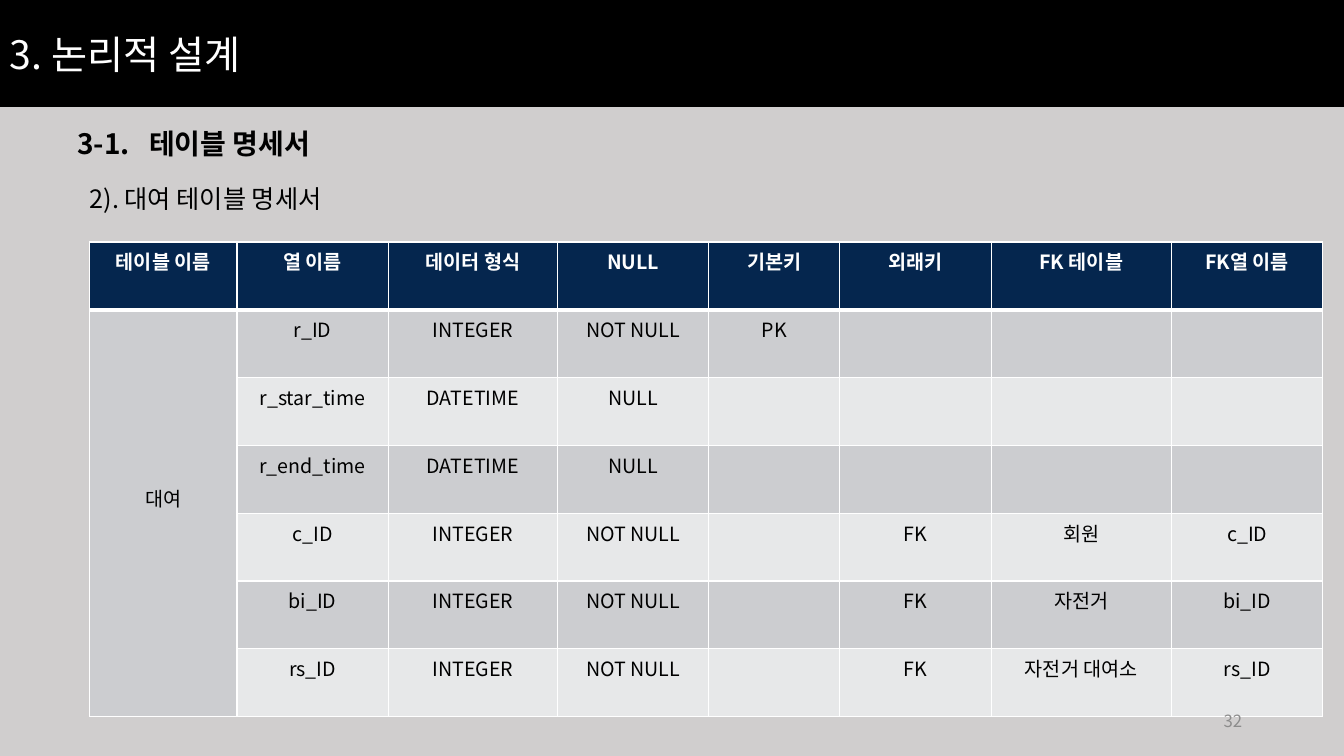
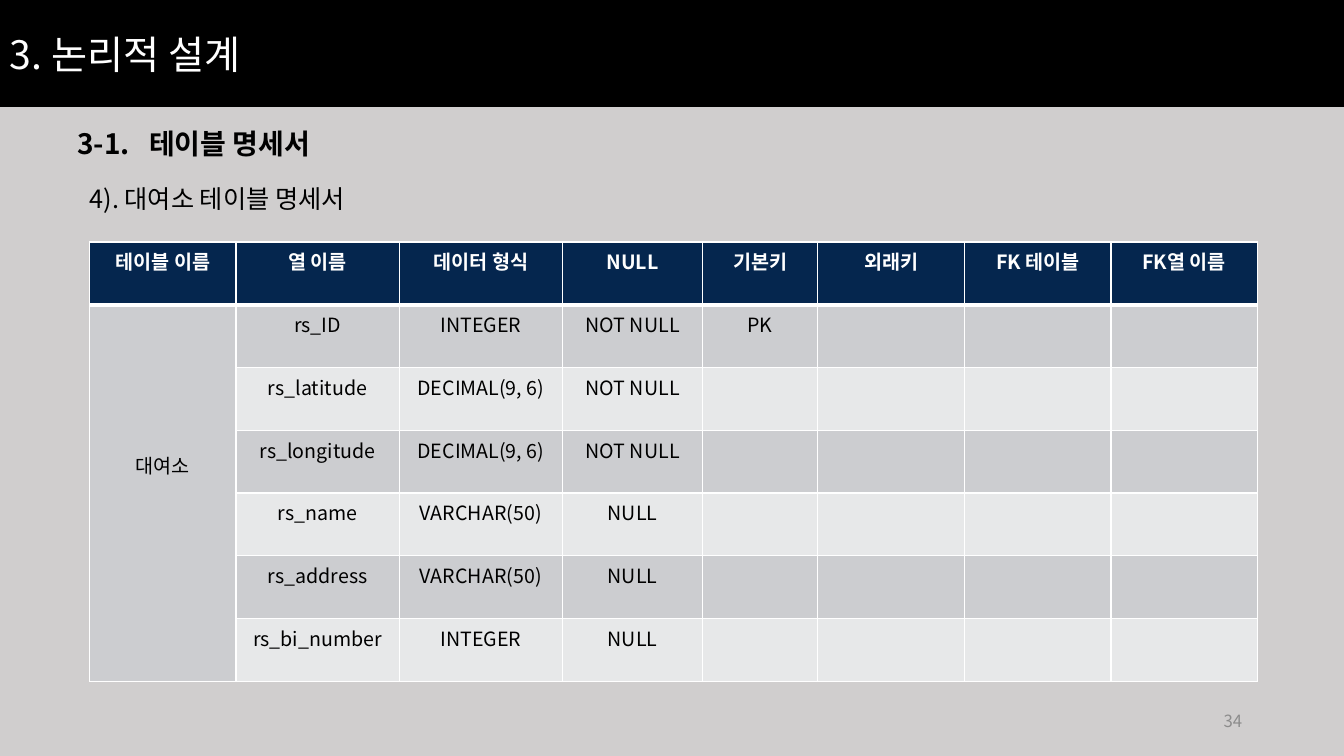
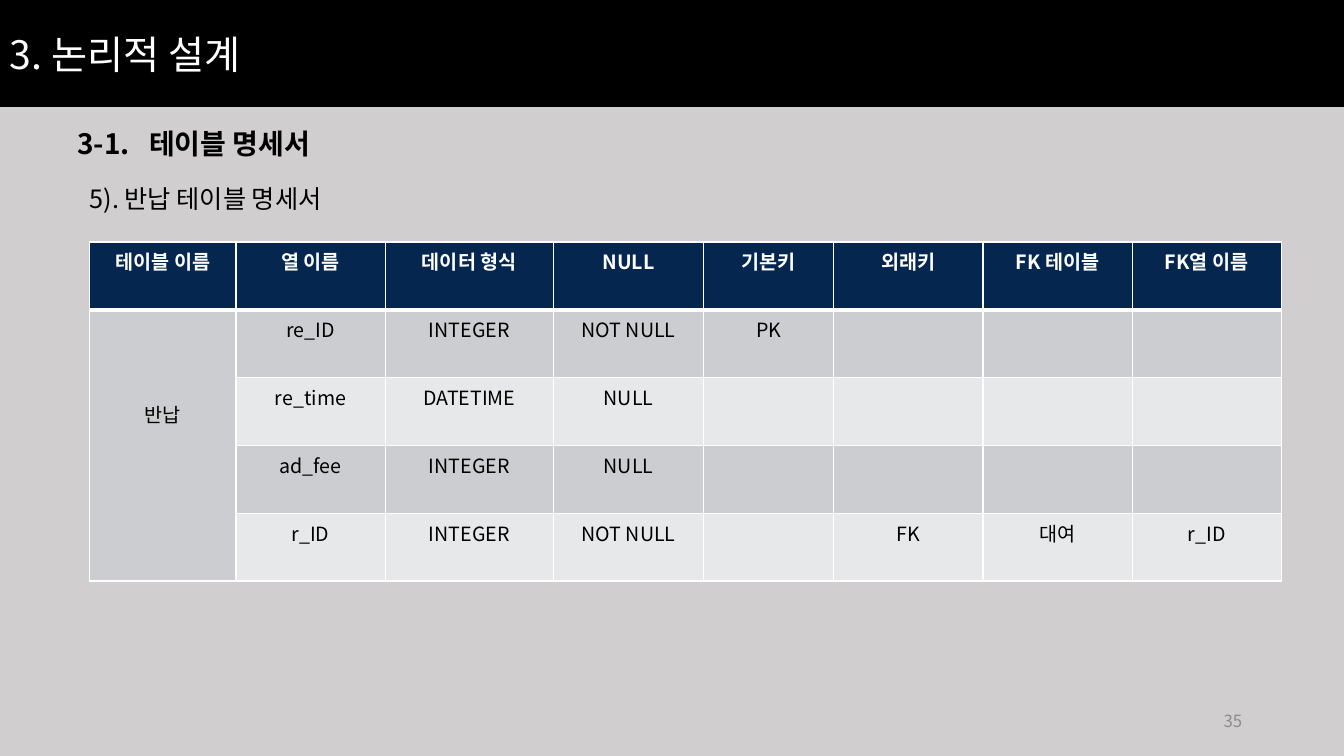
from dataclasses import dataclass

from pptx import Presentation
from pptx.dml.color import RGBColor
from pptx.enum.shapes import MSO_SHAPE
from pptx.enum.text import MSO_ANCHOR, PP_ALIGN
from pptx.oxml.ns import qn
from pptx.util import Inches, Pt
from lxml.etree import SubElement

WIDTH, HEIGHT = 13.33, 7.5
FONT = "Noto Sans CJK KR"
BLACK, WHITE, GREY = "000000", "FFFFFF", "8C8C8C"
BACKGROUND, NAVY = "D0CECE", "05264E"
BANDS = ("CCCDD0", "E7E8E9")
TABLE_LEFT, TABLE_TOP = 0.89, 2.4
CELL_SIZE = 14
CELL_MARGIN = 0.05
LINE_HEIGHT = 0.28
HEADERS = ("테이블 이름", "열 이름", "데이터 형식", "NULL",
           "기본키", "외래키", "FK 테이블", "FK열 이름")


@dataclass
class TableSpec:
    page_number: int
    heading: str
    name: str
    name_line: int  # text lines left free above the table name
    row_height: float
    widths: tuple
    rows: tuple


SPECS = (
    TableSpec(32, "2). 대여 테이블 명세서", "대여", 6, 0.673,
              (1.46, 1.5, 1.68, 1.5, 1.3, 1.5, 1.79, 1.5),
              (("r_ID", "INTEGER", "NOT NULL", "PK"),
               ("r_star_time", "DATETIME", "NULL"),
               ("r_end_time", "DATETIME", "NULL"),
               ("c_ID", "INTEGER", "NOT NULL", "", "FK", "회원", "c_ID"),
               ("bi_ID", "INTEGER", "NOT NULL", "", "FK", "자전거", "bi_ID"),
               ("rs_ID", "INTEGER", "NOT NULL", "", "FK", "자전거 대여소", "rs_ID"))),
    TableSpec(34, "4). 대여소 테이블 명세서", "대여소", 5, 0.623,
              (1.45, 1.62, 1.62, 1.39, 1.14, 1.46, 1.45, 1.45),
              (("rs_ID", "INTEGER", "NOT NULL", "PK"),
               ("rs_latitude", "DECIMAL(9, 6)", "NOT NULL"),
               ("rs_longitude", "DECIMAL(9, 6)", "NOT NULL"),
               ("rs_name", "VARCHAR(50)", "NULL"),
               ("rs_address", "VARCHAR(50)", "NULL"),
               ("rs_bi_number", "INTEGER", "NULL"))),
    TableSpec(35, "5). 반납 테이블 명세서", "반납", 3, 0.673,
              (1.45, 1.48, 1.67, 1.49, 1.29, 1.48, 1.48, 1.48),
              (("re_ID", "INTEGER", "NOT NULL", "PK"),
               ("re_time", "DATETIME", "NULL"),
               ("ad_fee", "INTEGER", "NULL"),
               ("r_ID", "INTEGER", "NOT NULL", "", "FK", "대여", "r_ID"))),
)


def paint(fill, color):
    fill.solid()
    fill.fore_color.rgb = RGBColor.from_string(color)


def write(frame, text, size, color, bold=False, align=PP_ALIGN.LEFT):
    """Set one paragraph of text and format its runs, Korean glyphs included."""
    para = frame.paragraphs[0]
    para.text = text
    para.alignment = align
    for span in para.runs:
        span.font.size = Pt(size)
        span.font.bold = bold
        span.font.name = FONT
        paint(span.font.fill, color)
        SubElement(span.font._element, qn("a:ea"), typeface=FONT)
    return para


def add_text(page, place, text, size, color, anchor=MSO_ANCHOR.TOP, **style):
    box = page.shapes.add_textbox(*map(Inches, place))
    box.text_frame.word_wrap = True
    box.text_frame.vertical_anchor = anchor
    return write(box.text_frame, text, size, color, **style)


def add_tab_stop(para, position):
    tabs = SubElement(para._p.get_or_add_pPr(), qn("a:tabLst"))
    SubElement(tabs, qn("a:tab"), pos=str(Inches(position)), algn="l")


def add_title_band(page, title):
    band = page.shapes.add_shape(MSO_SHAPE.RECTANGLE, 0, 0,
                                 Inches(WIDTH), Inches(1.06))
    band.shadow.inherit = False
    paint(band.fill, BLACK)
    band.line.fill.background()
    band.text_frame.vertical_anchor = MSO_ANCHOR.MIDDLE
    write(band.text_frame, title, 28, WHITE)


def set_borders(cell, top, bottom):
    """Draw white cell borders; top and bottom widths are in points."""
    properties = cell._tc.get_or_add_tcPr()
    for side, points in (("L", 1), ("R", 1), ("T", top), ("B", bottom)):
        line = SubElement(properties, qn(f"a:ln{side}"), w=str(Pt(points)))
        fill = SubElement(line, qn("a:solidFill"))
        SubElement(fill, qn("a:srgbClr"), val=WHITE)


def add_spec_table(page, spec):
    row_count = len(spec.rows) + 1
    table = page.shapes.add_table(
        row_count, len(HEADERS), Inches(TABLE_LEFT), Inches(TABLE_TOP),
        Inches(sum(spec.widths)), Inches(spec.row_height * row_count)).table
    table.horz_banding = False
    for column, width in zip(table.columns, spec.widths):
        column.width = Inches(width)
    for row in table.rows:
        row.height = Inches(spec.row_height)

    body = [(spec.name if index == 0 else "", *row)
            for index, row in enumerate(spec.rows)]
    for row_index, texts in enumerate([HEADERS, *body]):
        is_header = row_index == 0
        for column_index in range(len(HEADERS)):
            cell = table.cell(row_index, column_index)
            set_borders(cell, top=3 if row_index == 1 else 1,
                        bottom=3 if is_header else 1)
            paint(cell.fill, NAVY if is_header else BANDS[(row_index - 1) % 2])
            text = texts[column_index] if column_index < len(texts) else ""
            write(cell.text_frame, text, CELL_SIZE,
                  WHITE if is_header else BLACK, is_header, PP_ALIGN.CENTER)

    name_cell = table.cell(1, 0)
    name_cell.merge(table.cell(row_count - 1, 0))
    name_cell.margin_top = Inches(CELL_MARGIN + spec.name_line * LINE_HEIGHT)


def add_page(deck, spec):
    page = deck.slides.add_slide(deck.slide_layouts[6])
    paint(page.background.fill, BACKGROUND)
    add_title_band(page, "3. 논리적 설계")
    section = add_text(page, (0.67, 1.21, 3, 0.44), "3-1.\t테이블 명세서",
                       20, BLACK, bold=True)
    add_tab_stop(section, 0.71)
    add_text(page, (0.79, 1.77, 3, 0.4), spec.heading, 18, BLACK)
    add_spec_table(page, spec)
    add_text(page, (9.42, 6.95, 3, 0.4), str(spec.page_number), 12, GREY,
             anchor=MSO_ANCHOR.MIDDLE, align=PP_ALIGN.RIGHT)


def main():
    deck = Presentation()
    deck.slide_width, deck.slide_height = Inches(WIDTH), Inches(HEIGHT)
    for spec in SPECS:
        add_page(deck, spec)
    deck.save("out.pptx")


if __name__ == "__main__":
    main()
